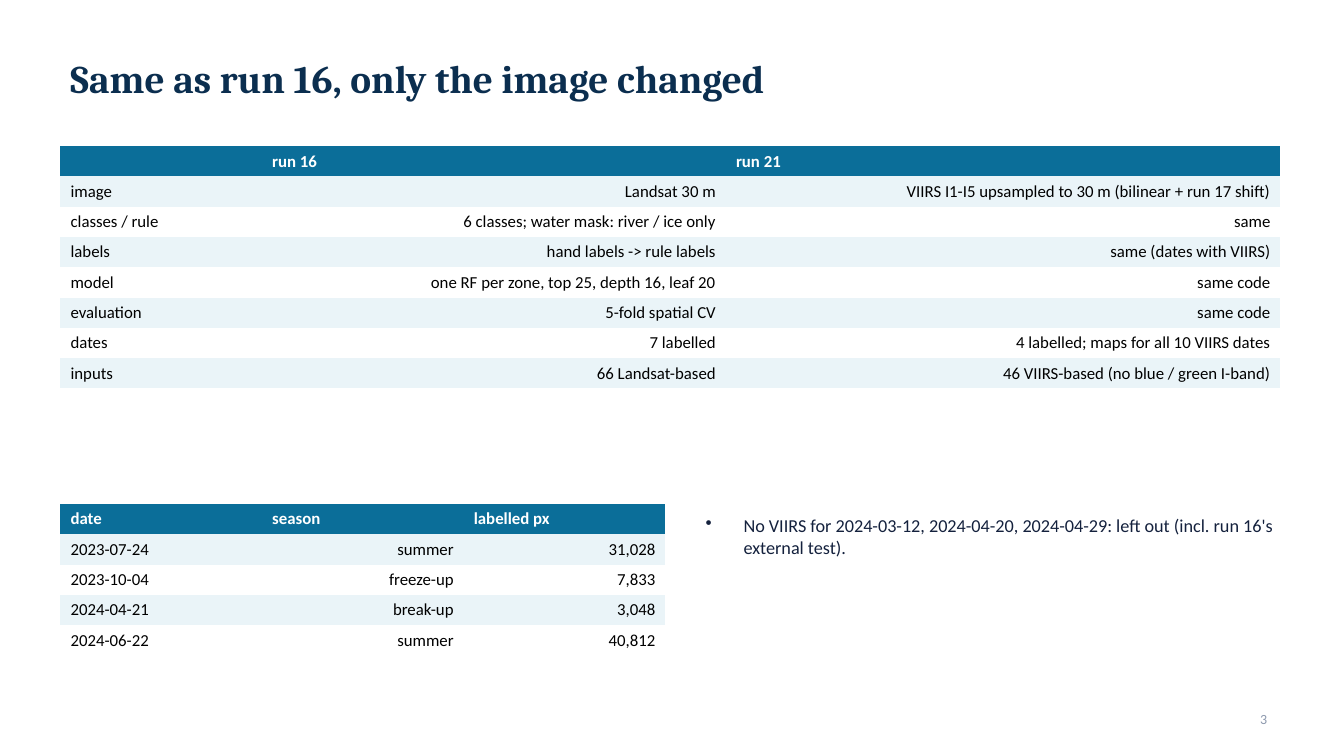
from dataclasses import dataclass

from lxml import etree
from pptx import Presentation
from pptx.dml.color import RGBColor
from pptx.enum.text import MSO_ANCHOR, PP_ALIGN
from pptx.oxml.ns import qn
from pptx.util import Inches, Pt

NAVY = RGBColor(0x0B, 0x2E, 0x4F)
TEAL = RGBColor(0x0B, 0x6E, 0x99)
PALE = RGBColor(0xEA, 0xF4, 0xF8)
WHITE = RGBColor(0xFF, 0xFF, 0xFF)
BLACK = RGBColor(0x00, 0x00, 0x00)
INK = RGBColor(0x14, 0x21, 0x3D)
GREY = RGBColor(0x8D, 0x99, 0xAE)
NO_STYLE = "{2D5ABB26-0587-4C30-8999-92F81FD0307C}"

LEFT, CONTENT_WIDTH = 6, 121
ROW_HEIGHT = 3


def grid(steps: float) -> int:
    """Length of a number of grid steps, each a tenth of an inch."""
    return Inches(steps / 10)


@dataclass(frozen=True)
class Box:
    left: float
    top: float
    width: float
    height: float


@dataclass(frozen=True)
class TextStyle:
    size: float
    color: RGBColor
    font: str = "Calibri"
    bold: bool = False


@dataclass(frozen=True)
class TableSpec:
    top: float
    columns: tuple[float, ...]
    rows: tuple[tuple[str, ...], ...]


TITLE = TextStyle(28, NAVY, "Cambria", True)
HEADER = TextStyle(12, WHITE, bold=True)
BODY = TextStyle(12, BLACK)
NOTE = TextStyle(13, INK)
PAGE = TextStyle(10, GREY)

RUN_COMPARISON = TableSpec(14.5, (20, 46, 55), (
    ("", "run 16", "run 21"),
    ("image", "Landsat 30 m",
     "VIIRS I1-I5 upsampled to 30 m (bilinear + run 17 shift)"),
    ("classes / rule", "6 classes; water mask: river / ice only", "same"),
    ("labels", "hand labels -> rule labels", "same (dates with VIIRS)"),
    ("model", "one RF per zone, top 25, depth 16, leaf 20", "same code"),
    ("evaluation", "5-fold spatial CV", "same code"),
    ("dates", "7 labelled", "4 labelled; maps for all 10 VIIRS dates"),
    ("inputs", "66 Landsat-based", "46 VIIRS-based (no blue / green I-band)"),
))
LABELLED_DATES = TableSpec(50, (20, 20, 20), (
    ("date", "season", "labelled px"),
    ("2023-07-24", "summer", "31,028"),
    ("2023-10-04", "freeze-up", "7,833"),
    ("2024-04-21", "break-up", "3,048"),
    ("2024-06-22", "summer", "40,812"),
))


def write(paragraph, text: str, style: TextStyle) -> None:
    # An empty cell still needs the font size, or its row grows
    target = paragraph
    if text:
        target = paragraph.add_run()
        target.text = text
    font = target.font
    font.name, font.size, font.bold = style.font, Pt(style.size), style.bold
    font.color.rgb = style.color


def add_text(slide, box: Box, text: str, style: TextStyle):
    shape = slide.shapes.add_textbox(
        grid(box.left), grid(box.top), grid(box.width), grid(box.height))
    frame = shape.text_frame
    frame.word_wrap = True
    write(frame.paragraphs[0], text, style)
    return frame


def add_table(slide, spec: TableSpec) -> None:
    table = slide.shapes.add_table(
        len(spec.rows), len(spec.columns), grid(LEFT), grid(spec.top),
        grid(sum(spec.columns)), grid(ROW_HEIGHT * len(spec.rows))).table
    table.horz_banding = False
    table._tbl.tblPr.find(qn("a:tableStyleId")).text = NO_STYLE
    for column, width in zip(table.columns, spec.columns):
        column.width = grid(width)
    for r, values in enumerate(spec.rows):
        for c, value in enumerate(values):
            cell = table.cell(r, c)
            cell.fill.solid()
            cell.fill.fore_color.rgb = TEAL if r == 0 else (WHITE, PALE)[r % 2]
            paragraph = cell.text_frame.paragraphs[0]
            if r and c:
                paragraph.alignment = PP_ALIGN.RIGHT
            write(paragraph, value, BODY if r else HEADER)


def add_bullet(paragraph, indent: float) -> None:
    properties = paragraph._p.get_or_add_pPr()
    properties.set("marL", str(grid(indent)))
    properties.set("indent", str(-grid(indent)))
    etree.SubElement(properties, qn("a:buChar")).set("char", "\u2022")


prs = Presentation()
prs.slide_width, prs.slide_height = Inches(13.33), Inches(7.5)
slide = prs.slides.add_slide(prs.slide_layouts[6])

# Title
title = add_text(slide, Box(LEFT, 3.5, CONTENT_WIDTH, 8.5),
                 "Same as run 16, only the image changed", TITLE)
title.vertical_anchor = MSO_ANCHOR.MIDDLE

# Tables
for spec in (RUN_COMPARISON, LABELLED_DATES):
    add_table(slide, spec)

# Note beside the dates
note = add_text(slide, Box(70, 51, 57, 16),
                "No VIIRS for 2024-03-12, 2024-04-20, 2024-04-29: "
                "left out (incl. run 16's external test).", NOTE)
note.margin_left = note.margin_right = note.margin_top = note.margin_bottom = 0
note.paragraphs[0].space_after = Pt(8)
add_bullet(note.paragraphs[0], 3.75)

# Page number
add_text(slide, Box(124, 70, 6, 3), "3", PAGE)

prs.save("out.pptx")
